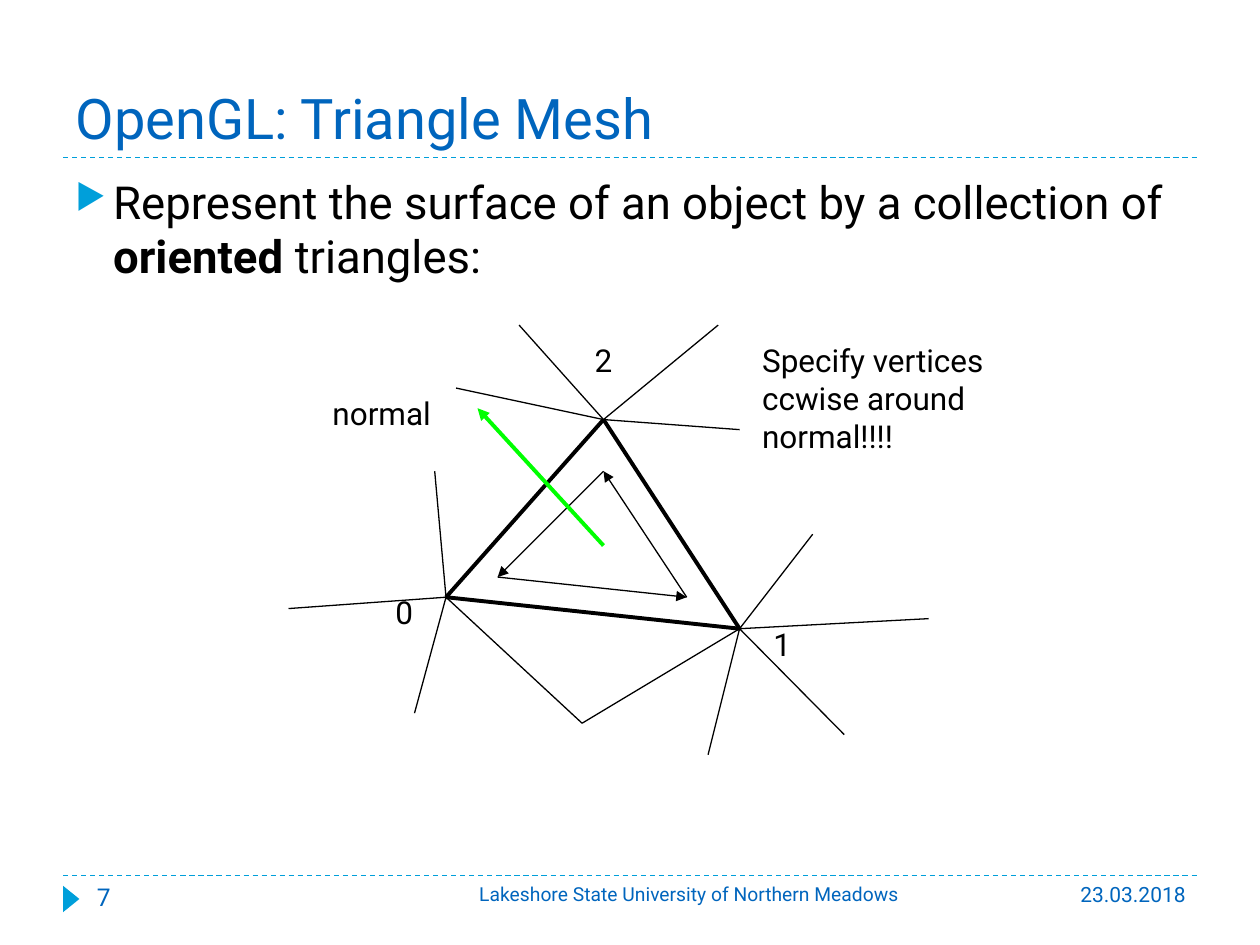
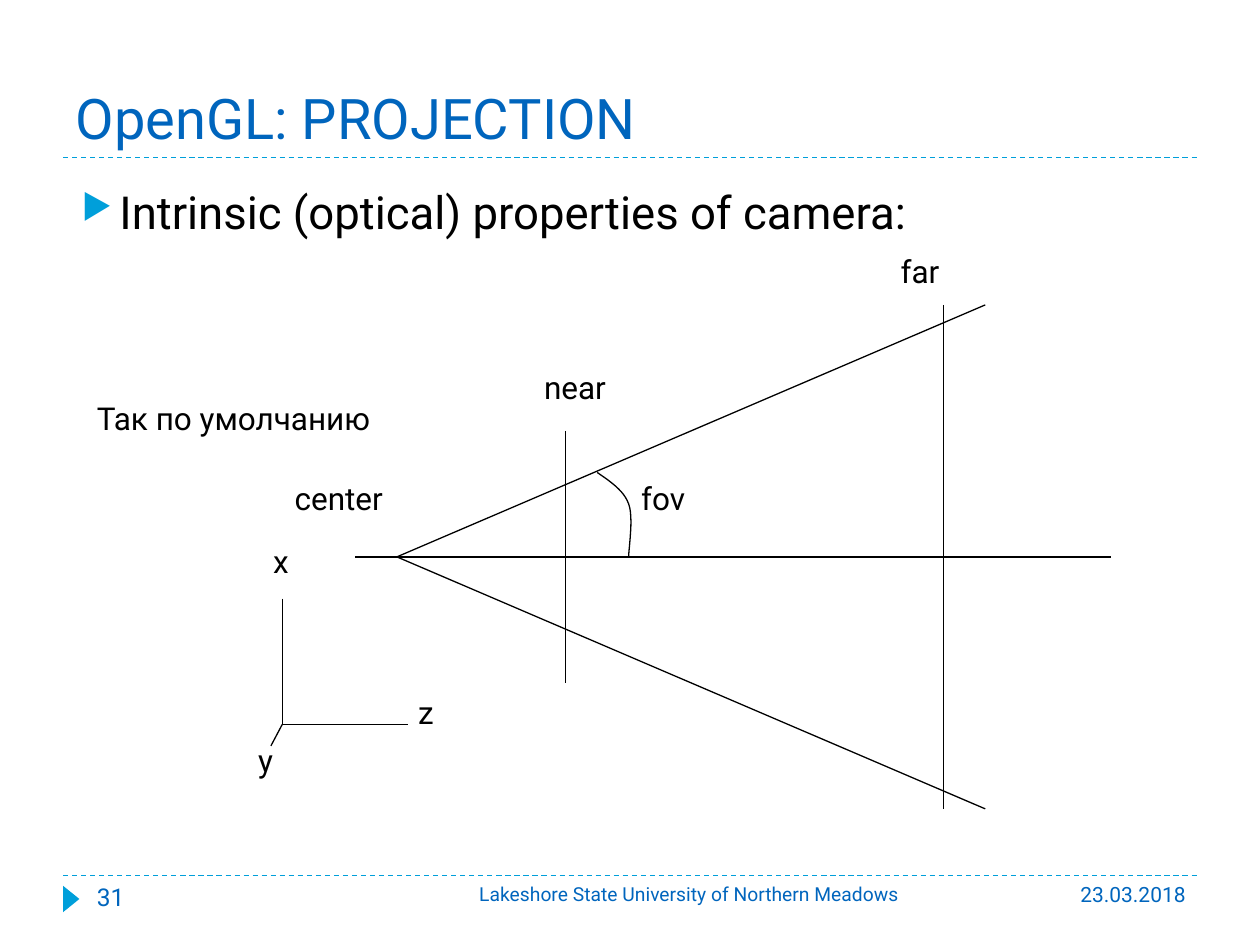
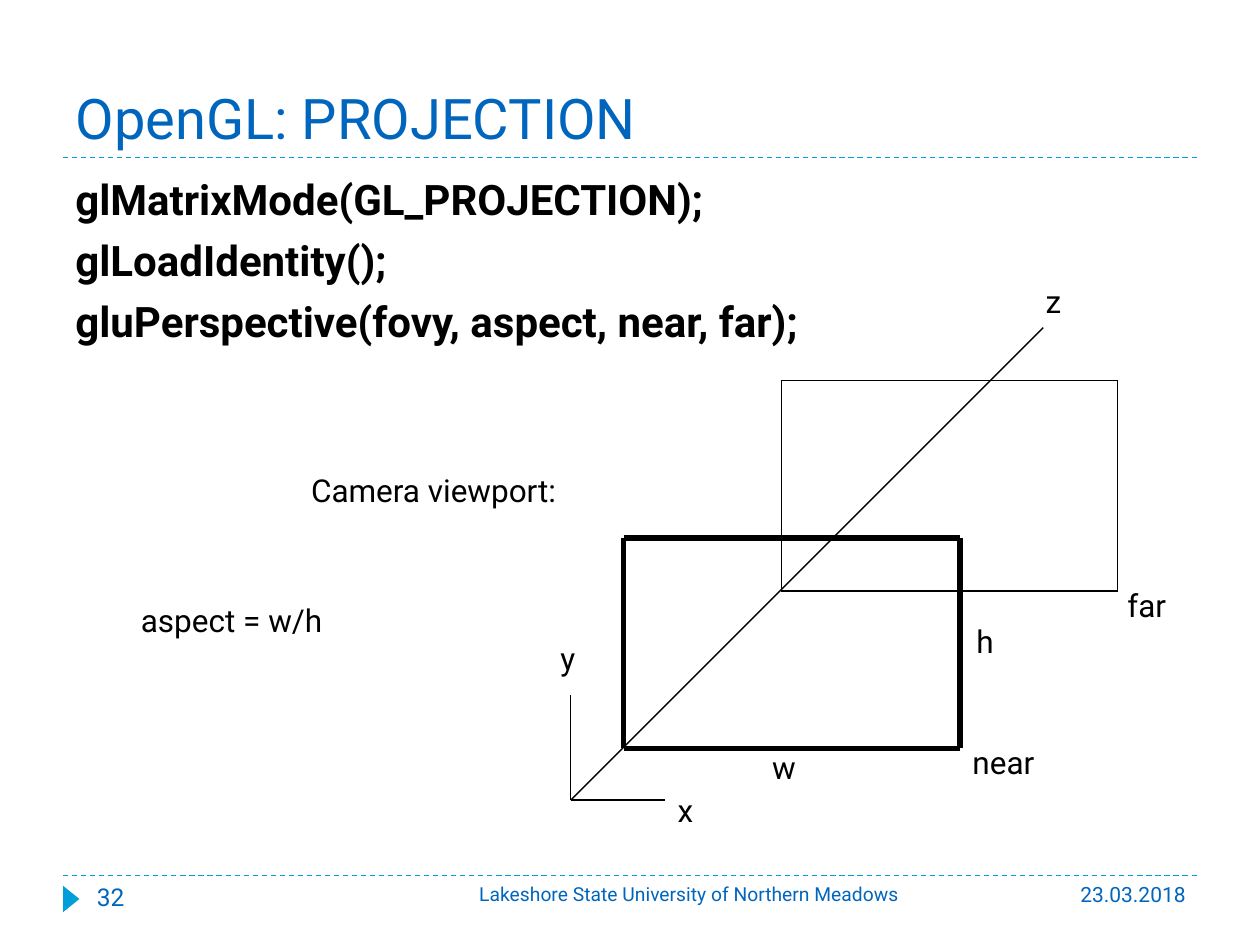
"""Build three slides on triangle meshes and camera projection."""
import itertools

import pptx
import pptx.dml.color
import pptx.enum.dml
import pptx.enum.shapes
import pptx.enum.text
import pptx.oxml
import pptx.oxml.ns
import pptx.util

Inches = pptx.util.Inches
Pt = pptx.util.Pt
ALIGN = pptx.enum.text.PP_ALIGN
FONT = "Roboto"
HUES = {"ink": "000000", "title": "0065BD", "accent": "009FDA", "normal": "00FF00"}

RULES = [1.25, 6.95]
FOOT = "Lakeshore State University of Northern Meadows"
DATE = "23.03.2018"
WIDE = (0.5, 1.33, 9, 5.37)


def ring(*points):
    """Close a list of points."""
    return [*points, points[0]]


def frame(left, top, right, low):
    """Return the closed outline of a rectangle."""
    return ring((left, top), (right, top), (right, low), (left, low))


V0, V1, V2 = (3.54, 4.74), (5.87, 4.99), (4.79, 3.33)
LOW = (4.62, 5.74)
RAYS = {
    V0: [(3.45, 3.74), (2.29, 4.83), (3.29, 5.66), LOW],
    V1: [(6.45, 4.24), LOW, (5.62, 5.99), (7.37, 4.91), (6.7, 5.83)],
    V2: [(5.87, 3.41), (5.7, 2.58), (4.12, 2.58), (3.62, 3.08)],
}
EYE = (3.15, 4.42)
AXIS = (2.24, 5.75)
BASE = (4.53, 6.35)
ARC = [
    [(4.74, 3.75), (4.84, 3.82), (4.95, 3.89), (4.99, 4)],
    [(4.99, 4), (5.03, 4.11), (4.99, 4.35), (4.99, 4.42)],
]

SLIDES = [
    {
        "title": "OpenGL: Triangle Mesh",
        "page": "7",
        "body": (WIDE, 26, True, [[
            ("Represent the surface of an object by a collection of ", False),
            ("oriented", True),
            (" triangles:", False),
        ]]),
        "thick": (2.25, [ring(V0, V2, V1)]),
        "thin": [[hub, tip] for hub, tips in RAYS.items() for tip in tips],
        "arrows": [
            (ring((3.95, 4.58), (5.45, 4.74), (4.79, 3.74)), "ink", 0.75),
            ([(4.79, 4.33), (3.79, 3.24)], "normal", 2.25),
        ],
        "labels": [
            (["Specify vertices", "ccwise around", "normal!!!!"], 5.95, 2.66, 2.48, 1.3),
            (["0"], 3.04, 4.66, 0.38, 0.5),
            (["1"], 6.04, 4.91, 0.38, 0.5),
            (["2"], 4.62, 2.66, 0.38, 0.5),
            (["normal"], 2.54, 3.08, 1.22, 0.5),
        ],
    },
    {
        "title": "OpenGL: PROJECTION",
        "page": "31",
        "body": ((0.55, 1.41, 8.5, 0.75), 26, True, [
            [("Intrinsic (optical) properties of camera:", False)],
        ]),
        "thin": [
            [(7.82, 2.42), EYE, (7.82, 6.42)],
            [(2.82, 4.42), (8.82, 4.42)],
            [(4.49, 3.42), (4.49, 5.42)],
            [(7.49, 2.42), (7.49, 6.42)],
            [(2.24, 4.75), AXIS, (3.24, 5.75)],
            [AXIS, (2.15, 5.92)],
        ],
        "arc": ARC,
        "labels": [
            (["center"], 2.24, 3.75, 1.12, 0.5),
            (["near"], 4.22, 2.87, 0.86, 0.5),
            (["far"], 7.05, 1.95, 0.6, 0.5),
            (["fov"], 4.99, 3.75, 0.65, 0.5),
            (["z"], 3.22, 5.45, 0.35, 0.5),
            (["x"], 2.07, 4.25, 0.37, 0.5),
            (["y"], 1.95, 5.83, 0.37, 0.5),
            (["Так по умолчанию"], 0.67, 3.12, 1, 1),
        ],
    },
    {
        "title": "OpenGL: PROJECTION",
        "page": "32",
        "body": (WIDE, 24, False, [
            [("glMatrixMode(GL_PROJECTION);", True)],
            [("glLoadIdentity();", True)],
            [("gluPerspective(fovy, aspect, near, far);", True)],
        ]),
        "thick": (3, [frame(4.95, 4.27, 7.62, 5.94)]),
        "thin": [
            [(4.53, 5.52), BASE, (5.28, 6.35)],
            [BASE, (8.28, 2.6)],
            frame(6.2, 3.02, 8.87, 4.69),
        ],
        "labels": [
            (["Camera viewport:"], 2.37, 3.69, 2.81, 0.5),
            (["x"], 5.28, 6.23, 0.37, 0.5),
            (["y"], 4.35, 5.02, 0.37, 0.5),
            (["z"], 8.2, 2.19, 0.35, 0.5),
            (["near"], 7.62, 5.85, 0.86, 0.5),
            (["far"], 8.85, 4.6, 0.6, 0.5),
            (["h"], 7.65, 4.89, 0.39, 0.5),
            (["w"], 6.03, 5.89, 0.45, 0.5),
            (["aspect = w/h"], 1.02, 4.72, 2.16, 0.5),
        ],
    },
]


def paint(name):
    """Return a named colour."""
    return pptx.dml.color.RGBColor.from_string(HUES[name])


def node(home, tag, **attrs):
    """Append a drawing element with attributes."""
    item = pptx.oxml.parse_xml(f"<a:{tag} {pptx.oxml.ns.nsdecls('a')}/>")
    for key, val in attrs.items():
        item.set(key, val)
    home.append(item)
    return item


def write(para, text, size, hue="ink", bold=False):
    """Add one styled run."""
    run = para.add_run()
    run.text = text
    font = run.font
    font.name, font.size, font.bold = FONT, Pt(size), bold
    font.color.rgb = paint(hue)


def fill(text, rows, size, hue="ink", align=ALIGN.LEFT):
    """Fill a text frame with rows of runs."""
    for num, runs in enumerate(rows):
        para = text.add_paragraph() if num else text.paragraphs[0]
        para.alignment = align
        for words, bold in runs:
            write(para, words, size, hue, bold)


def label(slide, at, rows, size, hue="ink", align=ALIGN.LEFT, wrap=True):
    """Add a text box and return its frame."""
    text = slide.shapes.add_textbox(*map(Inches, at)).text_frame
    text.word_wrap = wrap
    text.auto_size = pptx.enum.text.MSO_AUTO_SIZE.NONE
    fill(text, rows, size, hue, align)
    return text


def trace(slide, points, hue="ink", width=0.75, arrow=False, dash=False):
    """Join successive points with straight connectors."""
    for start, end in itertools.pairwise(points):
        line = slide.shapes.add_connector(
            pptx.enum.shapes.MSO_CONNECTOR.STRAIGHT, *map(Inches, (*start, *end)))
        line.line.color.rgb = paint(hue)
        line.line.width = Pt(width)
        if dash:
            line.line.dash_style = pptx.enum.dml.MSO_LINE.DASH
        if arrow:
            node(line.line._get_or_add_ln(), "tailEnd", type="triangle")
        node(line._element.spPr, "effectLst")


def bend(slide, parts, steps=12):
    """Draw cubic curves as one open outline."""
    dots = [parts[0][0]]
    for curve in parts:
        for num in range(1, steps + 1):
            t = num / steps
            mix = ((1 - t) ** 3, 3 * t * (1 - t) ** 2, 3 * t * t * (1 - t), t ** 3)
            dots.append(tuple(sum(m * c for m, c in zip(mix, axis))
                              for axis in zip(*curve)))
    dots = [(Inches(x), Inches(y)) for x, y in dots]
    pen = slide.shapes.build_freeform(*dots[0])
    pen.add_line_segments(dots[1:], close=False)
    shape = pen.convert_to_shape()
    shape.shadow.inherit = False
    shape.fill.background()
    shape.line.color.rgb = paint("ink")
    shape.line.width = Pt(0.75)


def dress(slide, title, page):
    """Add the shared title, rules and footer."""
    for y in RULES:
        trace(slide, [(0.5, y), (9.5, y)], "accent", dash=True)
    mark = slide.shapes.add_shape(
        pptx.enum.shapes.MSO_SHAPE.ISOSCELES_TRIANGLE,
        *map(Inches, (0.46, 7.07, 0.21, 0.13)))
    mark.rotation = 90
    mark.shadow.inherit = False
    mark.fill.solid()
    mark.fill.fore_color.rgb = paint("accent")
    mark.line.fill.background()
    head = slide.shapes.title
    head.left, head.top, head.width, head.height = map(Inches, (0.5, 0.17, 9, 1.08))
    text = head.text_frame
    text.word_wrap = True
    text.auto_size = pptx.enum.text.MSO_AUTO_SIZE.NONE
    text.vertical_anchor = pptx.enum.text.MSO_ANCHOR.BOTTOM
    fill(text, [[(title, False)]], 32, "title")
    for words, left, width, size, align in [
        (DATE, 8.44, 1.07, 12, ALIGN.RIGHT),
        (page, 0.67, 2.17, 14, ALIGN.LEFT),
        (FOOT, 3.44, 4.06, 11, ALIGN.CENTER),
    ]:
        label(slide, (left, 6.95, width, 0.4), [[(words, False)]], size, "title", align)


def outline(slide, at, size, bullet, rows):
    """Add the main text with hanging indents."""
    for para in label(slide, at, rows, size).paragraphs:
        para.space_before = Pt(6)
        props = para._p.get_or_add_pPr()
        props.set("marL", str(Inches(0.3)))
        props.set("indent", str(-Inches(0.3)))
        if bullet:
            node(node(props, "buClr"), "srgbClr", val=HUES["accent"])
            node(props, "buSzPct", val="76000")
            node(props, "buChar", char="▶")


def main():
    """Build and save the slides."""
    deck = pptx.Presentation()
    deck.slide_width, deck.slide_height = Inches(10), Inches(7.5)
    for data in SLIDES:
        slide = deck.slides.add_slide(deck.slide_layouts[5])
        dress(slide, data["title"], data["page"])
        outline(slide, *data["body"])
        width, thick = data.get("thick", (0, []))
        for points in thick:
            trace(slide, points, width=width)
        for points in data["thin"]:
            trace(slide, points)
        for points, hue, weight in data.get("arrows", []):
            trace(slide, points, hue, weight, arrow=True)
        if "arc" in data:
            bend(slide, data["arc"])
        for lines, *at in data["labels"]:
            label(slide, at, [[(line, False)] for line in lines], 18, wrap=False)
    deck.save("out.pptx")


if __name__ == "__main__":
    main()
